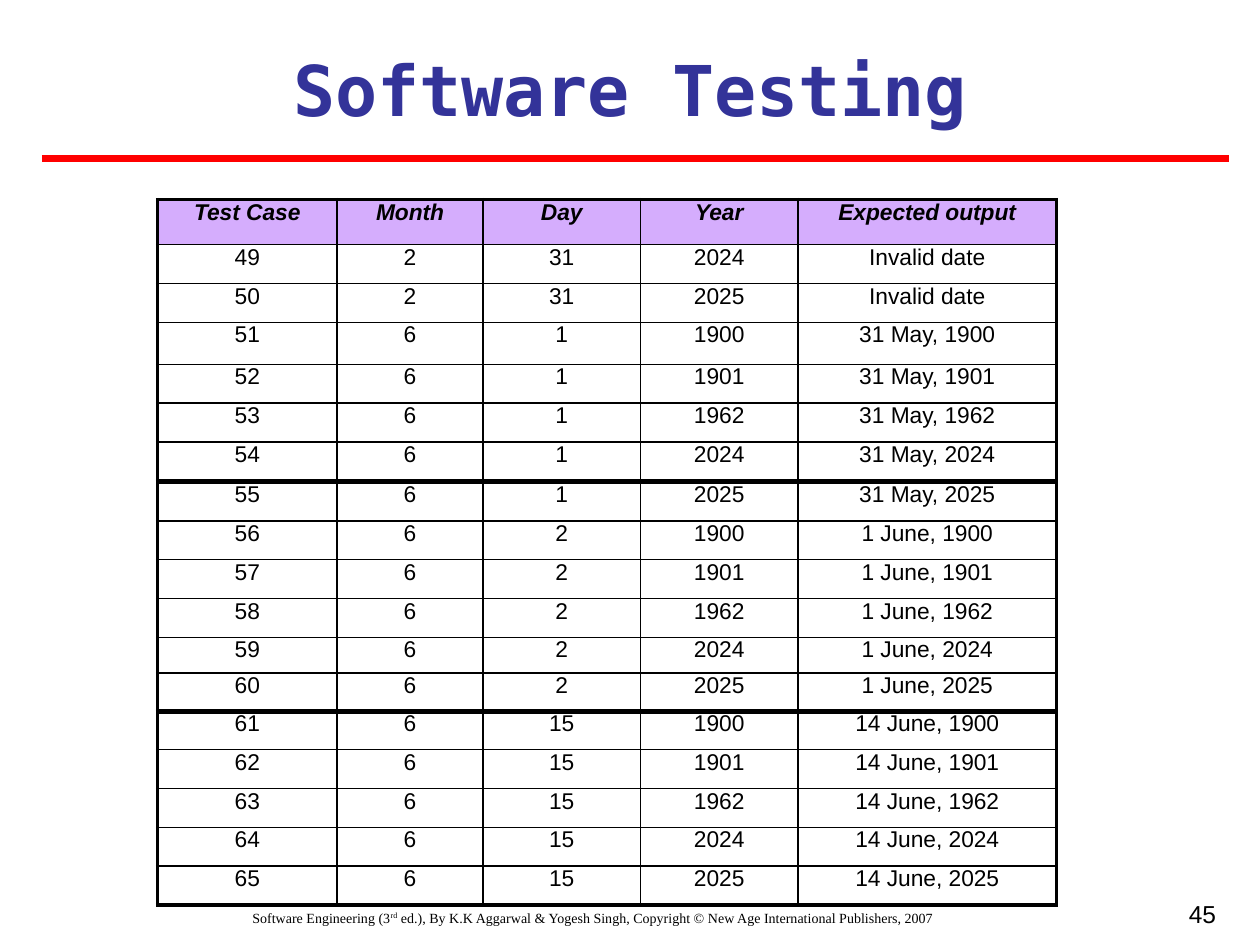
import pptx
import pptx.dml.color
import pptx.enum.shapes
import pptx.enum.text
import pptx.oxml.ns
import pptx.util
from lxml import etree

RGB = pptx.dml.color.RGBColor
BLACK = RGB(0x00, 0x00, 0x00)
NAVY = RGB(0x33, 0x33, 0x99)
RED = RGB(0xFF, 0x00, 0x00)
LILAC = RGB(0xD5, 0xAD, 0xFD)

ALIGN = pptx.enum.text.PP_ALIGN
qn = pptx.oxml.ns.qn
Pt = pptx.util.Pt

THIN, THICK = 1, 2.25

# Grid units: the slide is 120 columns by 90 rows.
COLS = [17.1, 13.9, 15, 15, 24.6]
ROW, TALL, LOW, TOP = 3.7, 4, 3.4, 4.3

BODY = {"size": Pt(13), "name": "Arial", "bold": False, "italic": False}
HEAD = {**BODY, "bold": True, "italic": True}
TITLE = {"size": Pt(40), "name": "DejaVu Sans Mono", "bold": True}
NOTE = {"size": Pt(8), "name": "Times New Roman"}
PAGE = {"size": Pt(14), "name": "Arial"}

LABELS = ["Test Case", "Month", "Day", "Year", "Expected output"]
YEARS = [1900, 1901, 1962, 2024, 2025]
DAYS = [(1, "31 May"), (2, "1 June"), (15, "14 June")]


def unit(n):
    """Length of n grid units."""
    return pptx.util.Inches(n / 12)


def style(font, form, color=BLACK):
    for key, value in form.items():
        setattr(font, key, value)
    font.color.rgb = color


def add_text(slide, spot, parts, form, align=ALIGN.CENTER, color=BLACK):
    """Add a one-line box; parts are (text, raise in percent) pairs."""
    frame = slide.shapes.add_textbox(*map(unit, spot)).text_frame
    frame.word_wrap = True
    para = frame.paragraphs[0]
    para.alignment = align
    for text, lift in parts:
        run = para.add_run()
        run.text = text
        style(run.font, form, color)
        if lift:
            run.font._element.set("baseline", str(lift * 1000))


def add_rule(slide, left, right, y):
    kind = pptx.enum.shapes.MSO_CONNECTOR.STRAIGHT
    rule = slide.shapes.add_connector(kind, *map(unit, (left, y, right, y)))
    rule.line.color.rgb = RED
    rule.line.width = Pt(4.5)
    etree.SubElement(rule._element.spPr, qn("a:effectLst"))


def add_edge(cell, side, width):
    props = cell._tc.get_or_add_tcPr()
    line = etree.SubElement(props, qn("a:ln" + side), w=str(Pt(width)))
    fill = etree.SubElement(line, qn("a:solidFill"))
    etree.SubElement(fill, qn("a:srgbClr"), val=str(BLACK))


def fill_cell(cell, text, form, edges):
    for key in ("margin_top", "margin_bottom"):
        setattr(cell, key, 0)
    for side, width in edges.items():
        add_edge(cell, side, width)
    if form is HEAD:
        cell.fill.solid()
        cell.fill.fore_color.rgb = LILAC
    else:
        cell.fill.background()
    para = cell.text_frame.paragraphs[0]
    para.alignment = ALIGN.CENTER
    run = para.add_run()
    run.text = str(text)
    style(run.font, form)


def add_grid(slide, top, highs, data):
    """Add a table with a thick outline and thin inner lines."""
    spot = (15, top, sum(COLS), sum(highs))
    table = slide.shapes.add_table(len(data), len(COLS), *map(unit, spot)).table
    table.first_row = table.horz_banding = False
    for col, width in zip(table.columns, COLS):
        col.width = unit(width)
    for row, high in zip(table.rows, highs):
        row.height = unit(high)
    for r, items in enumerate(data):
        for c, text in enumerate(items):
            outer = {"L": c == 0, "R": c == len(COLS) - 1,
                     "T": r == 0, "B": r == len(data) - 1}
            edges = {side: THICK if out else THIN for side, out in outer.items()}
            form = HEAD if items is LABELS else BODY
            fill_cell(table.cell(r, c), text, form, edges)


def list_cases():
    """List the test cases from number 49 on."""
    cases = [(2, 31, year, "Invalid date") for year in YEARS[-2:]]
    cases += [(6, day, year, f"{prior}, {year}")
              for day, prior in DAYS for year in YEARS]
    return [(num, *case) for num, case in enumerate(cases, 49)]


def main():
    deck = pptx.Presentation()
    deck.slide_width, deck.slide_height = unit(120), unit(90)
    slide = deck.slides.add_slide(deck.slide_layouts[6])

    note = [("Software Engineering (3", 0), ("rd", 30),
            (" ed.), By K.K Aggarwal & Yogesh Singh, Copyright © "
             "New Age International Publishers, 2007", 0)]
    add_text(slide, (3, 86, 107, 4), note, NOTE)
    add_text(slide, (89, 85, 28, 7), [("45", 0)], PAGE, ALIGN.RIGHT)
    add_text(slide, (4, 3.8, 112, 9.2), [("Software Testing", 0)], TITLE,
             color=NAVY)
    add_rule(slide, 4, 117, 15.1)

    cases = list_cases()
    add_grid(slide, 19, [TOP, ROW, ROW, TALL] + [ROW] * 3, [LABELS] + cases[:6])
    add_grid(slide, 45.9, [ROW] * 4 + [LOW, ROW], cases[6:12])
    add_grid(slide, 67.7, [ROW] * 5, cases[12:])
    deck.save("out.pptx")


if __name__ == "__main__":
    main()
